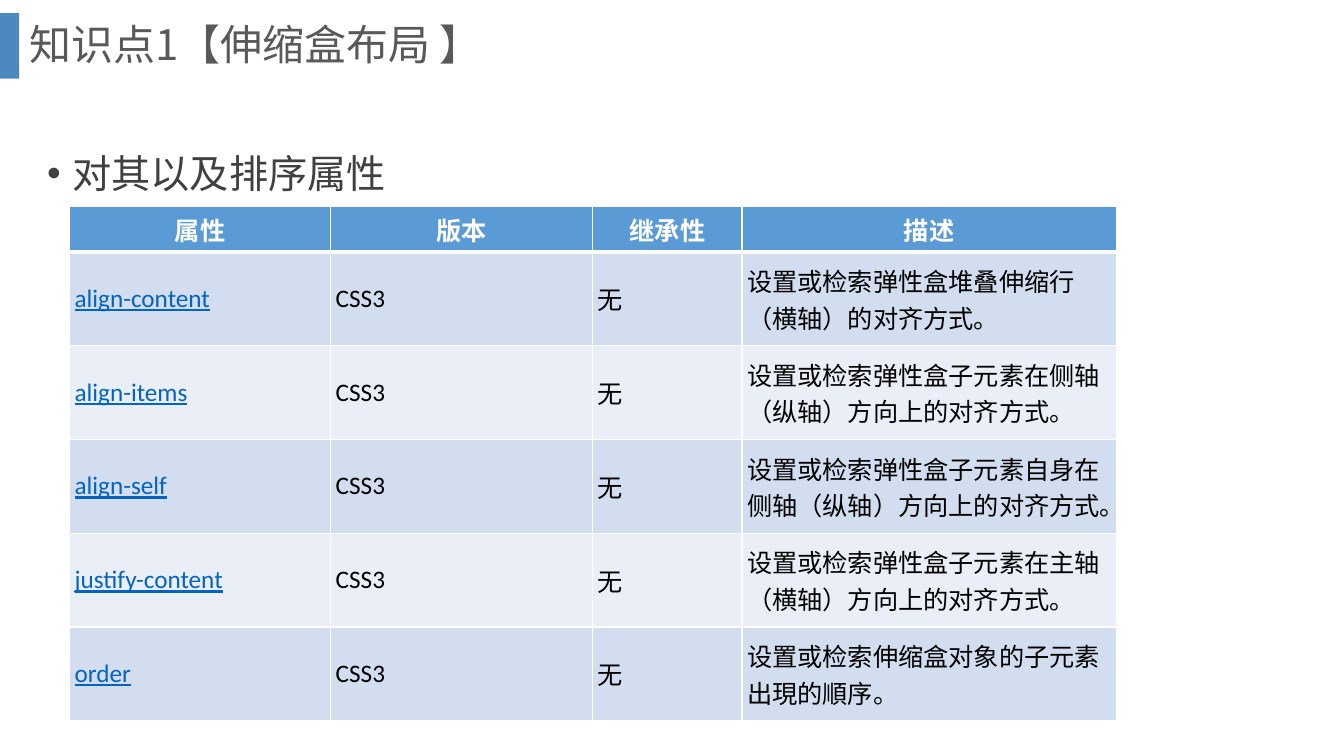
import pptx
import pptx.util
import pptx.dml.color
import pptx.enum.shapes
import pptx.enum.text
import pptx.oxml
import pptx.oxml.ns
from lxml import etree

Inches = pptx.util.Inches
Pt = pptx.util.Pt
ALIGN = pptx.enum.text.PP_ALIGN
MIDDLE = pptx.enum.text.MSO_ANCHOR.MIDDLE
CJK_FONT = "Noto Sans CJK SC"

HEADINGS = ["属性", "版本", "继承性", "描述"]
PROPERTIES = [
    ("align-content", "设置或检索弹性盒堆叠伸缩行（横轴）的对齐方式。"),
    ("align-items", "设置或检索弹性盒子元素在侧轴（纵轴）方向上的对齐方式。"),
    ("align-self", "设置或检索弹性盒子元素自身在侧轴（纵轴）方向上的对齐方式。"),
    ("justify-content", "设置或检索弹性盒子元素在主轴（横轴）方向上的对齐方式。"),
    ("order", "设置或检索伸缩盒对象的子元素出現的順序。"),
]
COLUMN_WIDTHS = [2.59, 2.6, 1.48, 3.71]
HEADER_HEIGHT = 0.45
ROW_HEIGHT = 0.93


def colour(value):
    return pptx.dml.color.RGBColor.from_string(value)


def apply(target, formats):
    for name, value in formats.items():
        setattr(target, name, value)


def add_child(parent, tag, **attributes):
    child = etree.SubElement(parent, pptx.oxml.ns.qn(tag))
    for name, value in attributes.items():
        child.set(name, str(value))
    return child


def write_span(para, text, shade, **formats):
    span = para.add_run()
    span.text = text
    apply(span.font, formats)
    span.font.color.rgb = colour(shade)
    add_child(span.font._element, "a:ea", typeface=CJK_FONT)


def add_accent_bar(page):
    bar = page.shapes.add_shape(
        pptx.enum.shapes.MSO_SHAPE.RECTANGLE,
        Inches(0), Inches(0.13), Inches(0.19), Inches(0.65))
    bar.shadow.inherit = False
    bar.fill.solid()
    bar.fill.fore_color.rgb = colour("2E75B6")
    shade = bar._element.spPr.find(".//" + pptx.oxml.ns.qn("a:srgbClr"))
    add_child(shade, "a:alpha", val=85000)
    bar.line.fill.background()


def add_text(page, place, text, size, shade, spacing, anchor, bullet=False):
    box = page.shapes.add_textbox(*[Inches(length) for length in place])
    apply(box.text_frame, {"word_wrap": True, "vertical_anchor": anchor})
    para = box.text_frame.paragraphs[0]
    para.line_spacing = spacing
    if bullet:
        properties = para._p.get_or_add_pPr()
        properties.set("marL", str(Inches(0.25)))
        properties.set("indent", str(Inches(-0.25)))
        add_child(properties, "a:buFont", typeface="Arial")
        add_child(properties, "a:buChar", char="•")
    write_span(para, text, shade, size=Pt(size), name=CJK_FONT)


def add_borders(cell, widths):
    properties = cell._tc.get_or_add_tcPr()
    for side, width in widths.items():
        line = add_child(properties, "a:ln" + side, w=Pt(width))
        add_child(add_child(line, "a:solidFill"), "a:srgbClr", val="FFFFFF")


def fill_cell(cell, text, fill, shade, header=False, link=False):
    add_borders(cell, {"L": 1, "R": 1, "T": 1, "B": 3 if header else 1})
    cell.fill.solid()
    cell.fill.fore_color.rgb = colour(fill)
    padding = Inches(0.05 if header else 0.1)
    apply(cell, {"vertical_anchor": MIDDLE,
                 "margin_left": Inches(0.05), "margin_right": Inches(0.05),
                 "margin_top": padding, "margin_bottom": padding})
    para = cell.text_frame.paragraphs[0]
    para.alignment = ALIGN.CENTER if header else ALIGN.LEFT
    write_span(para, text, shade, size=Pt(18), name="Calibri",
               bold=header, underline=link)


def add_property_table(page):
    height = HEADER_HEIGHT + ROW_HEIGHT * len(PROPERTIES)
    table = page.shapes.add_table(
        len(PROPERTIES) + 1, len(HEADINGS), Inches(0.69), Inches(2.05),
        Inches(sum(COLUMN_WIDTHS)), Inches(height)).table
    for column, width in zip(table.columns, COLUMN_WIDTHS):
        column.width = Inches(width)
    for index, row in enumerate(table.rows):
        row.height = Inches(ROW_HEIGHT if index else HEADER_HEIGHT)
    for index, heading in enumerate(HEADINGS):
        fill_cell(table.cell(0, index), heading, "5B9BD5", "FFFFFF", header=True)
    for number, (name, description) in enumerate(PROPERTIES, 1):
        fill = "D2DEEF" if number % 2 else "EAEFF7"
        fill_cell(table.cell(number, 0), name, fill, "0563C1", link=True)
        for index, text in enumerate(["CSS3", "无", description], 1):
            fill_cell(table.cell(number, index), text, fill, "000000")


def main():
    deck = pptx.Presentation()
    apply(deck, {"slide_width": Inches(13.33), "slide_height": Inches(7.5)})
    page = deck.slides.add_slide(deck.slide_layouts[6])
    add_accent_bar(page)
    add_text(page, (0.37, 1.2, 12.05, 5.6), "对其以及排序属性", 28, "404040",
             1.5, pptx.enum.text.MSO_ANCHOR.TOP, bullet=True)
    add_text(page, (0.19, 0, 12.66, 0.93), "知识点1【伸缩盒布局 】", 30, "595959",
             0.9, MIDDLE)
    add_property_table(page)
    deck.save("out.pptx")


if __name__ == "__main__":
    main()
